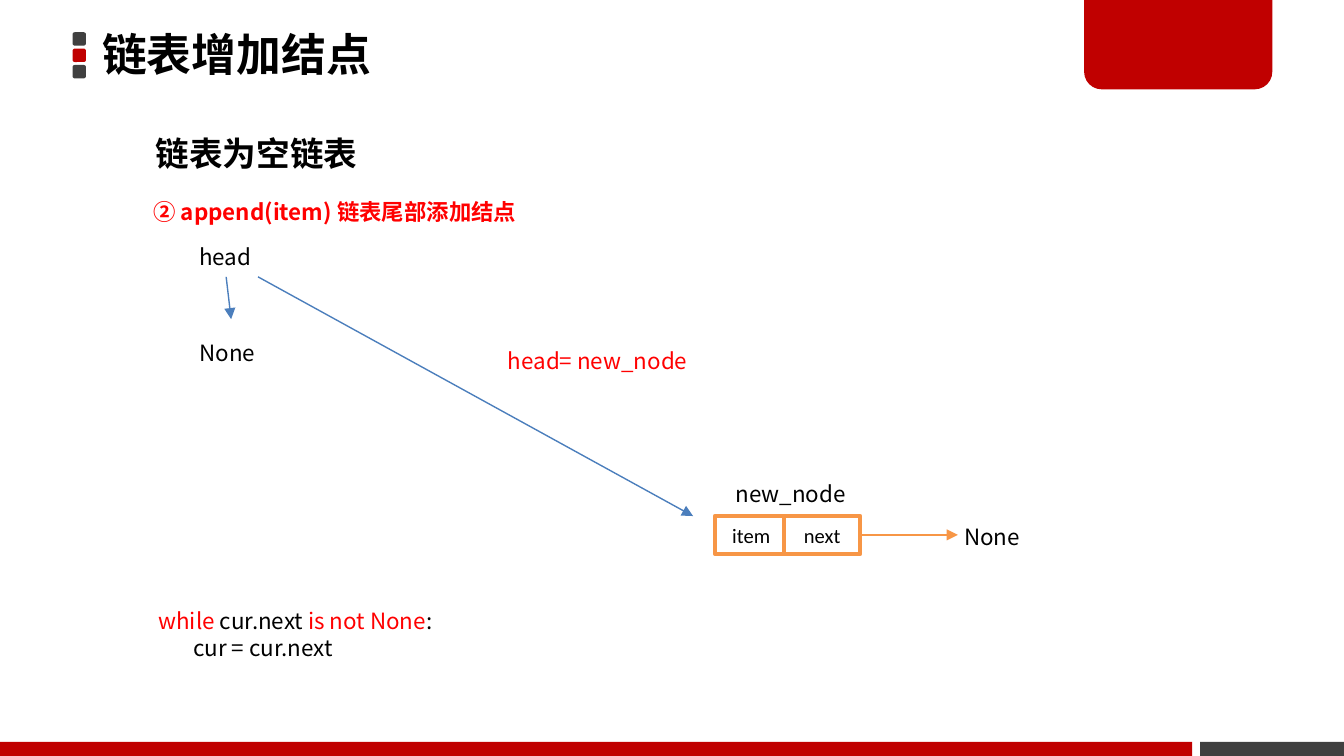
from lxml.etree import SubElement
from pptx import Presentation
from pptx.dml.color import RGBColor
from pptx.enum.shapes import MSO_CONNECTOR, MSO_SHAPE as SHAPE
from pptx.enum.text import MSO_ANCHOR as ANCHOR, MSO_AUTO_SIZE as FIT, PP_ALIGN as ALIGN
from pptx.oxml.ns import qn
from pptx.util import Inches, Pt

BLACK = RGBColor(0x00, 0x00, 0x00)
WHITE = RGBColor(0xFF, 0xFF, 0xFF)
GRAY = RGBColor(0x40, 0x40, 0x40)
DARK_RED = RGBColor(0xC0, 0x00, 0x00)
RED = RGBColor(0xFF, 0x00, 0x00)
BLUE = RGBColor(0x4B, 0x7E, 0xBC)
ORANGE = RGBColor(0xF7, 0x96, 0x46)
FONT = "Noto Sans CJK SC"

# Widescreen 16:9 slide
prs = Presentation()
prs.slide_width = Inches(10)
prs.slide_height = prs.slide_width * 9 // 16
s = prs.slides.add_slide(prs.slide_layouts[6])

# Square grid, 100 columns across the slide
U = prs.slide_width // 100


def grid(*cells):
    return [round(c * U) for c in cells]


def add_text(runs, at=None, sp=None, size=12, color=BLACK, bold=False, font=FONT):
    """Write paragraphs of (text, color) runs, or one string, into a box or shape."""
    sp = sp or s.shapes.add_textbox(*grid(*at))
    tf = sp.text_frame
    tf.word_wrap = False
    lines = [[(runs, color)]] if isinstance(runs, str) else runs
    for i, line in enumerate(lines):
        p = tf.add_paragraph() if i else tf.paragraphs[0]
        for text, tint in line:
            r = p.add_run()
            r.text = text
            r.font.size, r.font.bold, r.font.name = Pt(size), bold, font
            r.font.color.rgb = tint
            SubElement(r.font._element, qn("a:ea")).set("typeface", font)
    return tf


# Title bullets, corner tab and footer bars
for kind, at, color in [
    *[(SHAPE.ROUNDED_RECTANGLE, (5.4, 2.4 + 1.22 * i, 1, 1), c)
      for i, c in enumerate((GRAY, DARK_RED, GRAY))],
    (SHAPE.ROUND_2_SAME_RECTANGLE, (80.67, -0.2, 14, 6.85), DARK_RED),
    (SHAPE.RECTANGLE, (89.3, 55.2, 10.7, 1.05), GRAY),
    (SHAPE.RECTANGLE, (0, 55.2, 88.7, 1.05), DARK_RED),
]:
    sp = s.shapes.add_shape(kind, *grid(*at))
    sp.shadow.inherit = False
    sp.fill.solid()
    sp.fill.fore_color.rgb = color
    sp.line.fill.background()
    if kind == SHAPE.ROUND_2_SAME_RECTANGLE:
        sp.adjustments[0], sp.adjustments[1] = 0, 0.19

# Title
tf = add_text("链表增加结点", (6.9, -0.2, 58.9, 8.9), size=24, bold=True)
tf.word_wrap = True
tf.vertical_anchor = ANCHOR.MIDDLE
tf.margin_left = tf.margin_right = Inches(0.07)
tf.margin_top = tf.margin_bottom = Inches(0.04)
tf.paragraphs[0].line_spacing = 0.9

# Headings and diagram labels
for text, at, look in [
    ("链表为空链表", (10.6, 9.4, 17.2, 7.1), dict(size=18, bold=True)),
    ("② append(item) 链表尾部添加结点", (10.43, 14.25, 29.7, 3), dict(color=RED, bold=True)),
    ("head", (13.85, 17.6, 6, 3), {}),
    ("None", (13.85, 24.75, 6.4, 3), {}),
    ("head= new_node", (36.8, 25.35, 15.9, 3), dict(color=RED)),
    ("new_node", (53.75, 35.2, 10.2, 3), {}),
    ("None", (70.75, 38.4, 6.4, 3), {}),
]:
    add_text(text, at, **look).auto_size = FIT.SHAPE_TO_FIT_TEXT

# Loop code, second line indented
tf = add_text([[("while ", RED), ("cur.next ", BLACK), ("is not None", RED), (":", BLACK)],
               [("cur = cur.next", BLACK)]], (10.8, 44.7, 23.2, 7.1))
tf.paragraphs[1]._p.get_or_add_pPr().set("marL", str(Inches(0.26)))

# Pointer arrows
for start, end, color in [
    ((16.83, 20.6), (17.2, 23.75), BLUE),
    ((19.2, 20.6), (51.57, 38.4), BLUE),
    ((63.2, 39.8), (71.27, 39.8), ORANGE),
]:
    arrow = s.shapes.add_connector(MSO_CONNECTOR.STRAIGHT, *grid(*start, *end))
    arrow.line.color.rgb = color
    arrow.line.width = Pt(0.75)
    SubElement(arrow.line._get_or_add_ln(), qn("a:tailEnd")).set("type", "triangle")
    SubElement(arrow._element.spPr, qn("a:effectLst"))

# New node cells
for text, left, width in [("item", 53.2, 5.4), ("next", 58.35, 5.65)]:
    sp = s.shapes.add_shape(SHAPE.RECTANGLE, *grid(left, 38.37, width, 2.87))
    sp.shadow.inherit = False
    sp.fill.solid()
    sp.fill.fore_color.rgb = WHITE
    sp.line.color.rgb = ORANGE
    sp.line.width = Pt(2)
    tf = add_text(text, sp=sp, size=11, font="Calibri")
    tf.vertical_anchor = ANCHOR.MIDDLE
    tf.paragraphs[0].alignment = ALIGN.CENTER

prs.save("out.pptx")
